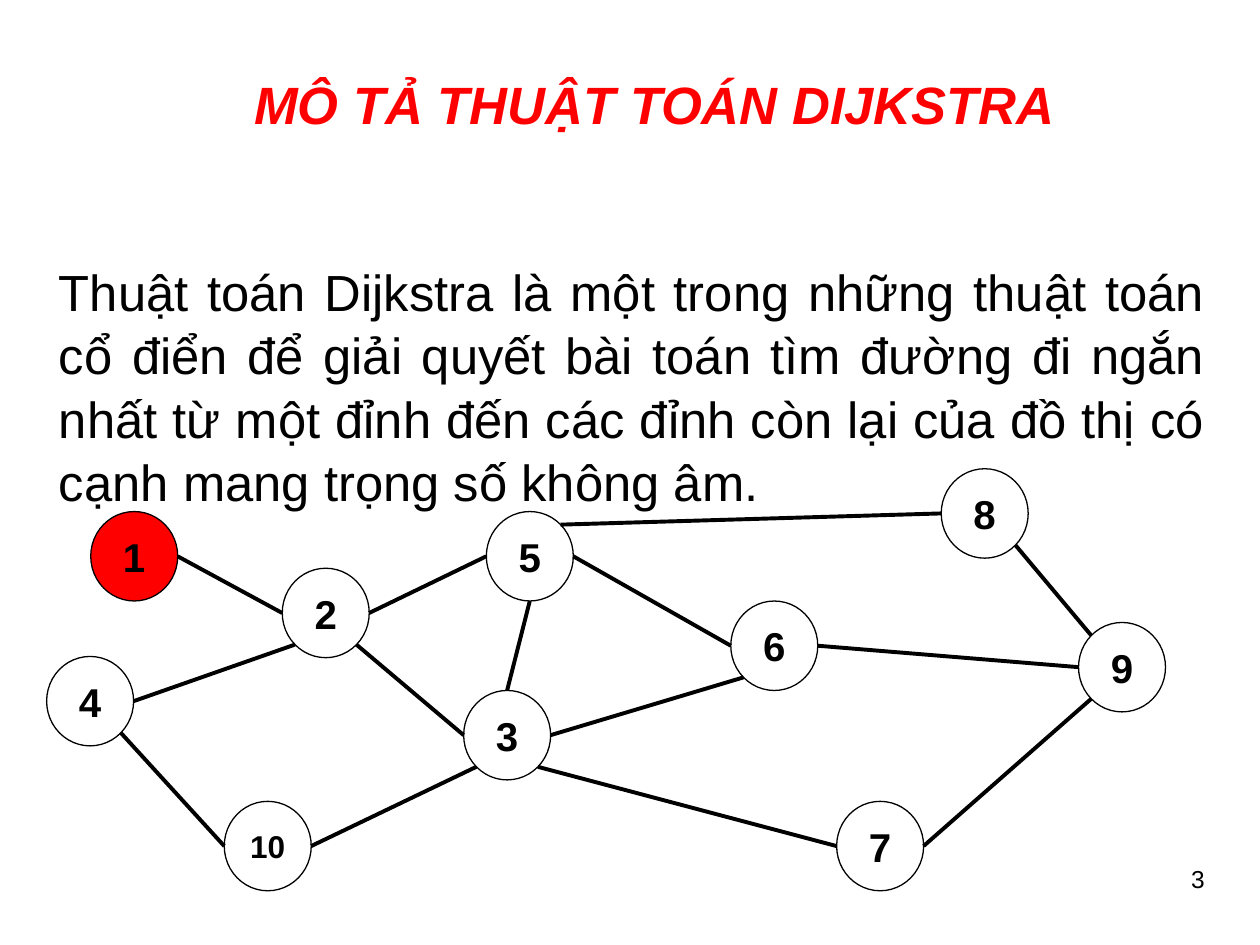
import pptx
import pptx.dml.color
import pptx.enum.shapes
import pptx.enum.text
import pptx.util
import lxml.etree

Inches = pptx.util.Inches
Pt = pptx.util.Pt
ALIGN = pptx.enum.text.PP_ALIGN
ANCHOR = pptx.enum.text.MSO_ANCHOR

WIDE, HIGH = 0.69, 0.71
NODES = {
    "1": (0.72, 4.06), "2": (2.24, 4.51), "4": (0.37, 5.21),
    "10": (1.78, 6.36), "3": (3.68, 5.48), "5": (3.86, 4.06),
    "6": (5.8, 4.77), "7": (6.64, 6.36), "9": (8.56, 4.94),
    "8": (7.47, 3.72),
}
# Unit steps from a node's centre to the side where an edge meets it
DIAG = 0.707
SIDES = {
    "N": (0, -1), "S": (0, 1), "W": (-1, 0), "E": (1, 0),
    "NW": (-DIAG, -DIAG), "NE": (DIAG, -DIAG),
    "SW": (-DIAG, DIAG), "SE": (DIAG, DIAG),
}
EDGES = [
    ("1", "E", "2", "W"), ("4", "E", "2", "SW"), ("2", "E", "5", "W"),
    ("2", "SE", "3", "W"), ("4", "SE", "10", "W"), ("10", "E", "3", "SW"),
    ("5", "S", "3", "N"), ("3", "E", "6", "SW"), ("3", "SE", "7", "W"),
    ("5", "E", "6", "W"), ("5", "NE", "8", "W"), ("6", "E", "9", "W"),
    ("8", "SE", "9", "NW"), ("7", "E", "9", "SW"),
]


def paint(code):
    return pptx.dml.color.RGBColor.from_string(code)


def write(shape, text, size, color="000000", bold=False, italic=False,
          align=ALIGN.LEFT, anchor=ANCHOR.TOP, inset=0.05, before=0,
          spacing=None, wrap=True):
    frame = shape.text_frame
    frame.word_wrap = wrap
    frame.vertical_anchor = anchor
    frame.margin_left = frame.margin_right = Inches(0.1)
    frame.margin_top = frame.margin_bottom = Inches(inset)
    para = frame.paragraphs[0]
    para.alignment = align
    para.space_before = Pt(before)
    para.line_spacing = spacing
    run = para.add_run()
    run.text = text
    font = run.font
    font.name, font.size = "Arial", Pt(size)
    font.bold, font.italic = bold, italic
    font.color.rgb = paint(color)


def add_text(slide, box, text, **style):
    shape = slide.shapes.add_textbox(*map(Inches, box))
    write(shape, text, **style)


def add_node(slide, left, top, name):
    shape = slide.shapes.add_shape(
        pptx.enum.shapes.MSO_SHAPE.OVAL,
        Inches(left), Inches(top), Inches(WIDE), Inches(HIGH))
    shape.shadow.inherit = False
    shape.fill.solid()
    shape.fill.fore_color.rgb = paint("FF0000" if name == "1" else "FFFFFF")
    shape.line.color.rgb = paint("000000")
    shape.line.width = Pt(0.75)
    write(shape, name, size=18 if len(name) > 1 else 23, bold=True,
          align=ALIGN.CENTER, anchor=ANCHOR.MIDDLE, inset=0.1, wrap=False)


def find_end(left, top, name, side):
    """Return the point on a node's rim at the given side."""
    x, y = NODES[name]
    across, down = SIDES[side]
    return (Inches(left + x + WIDE / 2 * (1 + across)),
            Inches(top + y + HIGH / 2 * (1 + down)))


def add_edge(slide, start, end):
    line = slide.shapes.add_connector(
        pptx.enum.shapes.MSO_CONNECTOR.STRAIGHT, *start, *end)
    line.line.color.rgb = paint("000000")
    line.line.width = Pt(2.25)
    props = line._element.spPr
    lxml.etree.SubElement(props, pptx.oxml.ns.qn("a:effectLst"))


def add_graph(slide, left, top):
    for name, (x, y) in NODES.items():
        add_node(slide, left + x, top + y, name)
    for first, out, last, into in EDGES:
        add_edge(slide, find_end(left, top, first, out),
                 find_end(left, top, last, into))


def main():
    deck = pptx.Presentation()
    deck.slide_width, deck.slide_height = Inches(10), Inches(7.5)
    slide = deck.slides.add_slide(deck.slide_layouts[6])
    add_text(slide, (1.92, 0.31, 7.75, 1.03), "MÔ TẢ THUẬT TOÁN DIJKSTRA",
             size=30, color="FF0000", bold=True, italic=True,
             anchor=ANCHOR.MIDDLE)
    add_text(slide, (0.37, 2, 9.3, 4.92),
             "Thuật toán Dijkstra là một trong những thuật toán cổ điển để "
             "giải quyết bài toán tìm đường đi ngắn nhất từ một đỉnh đến các "
             "đỉnh còn lại của đồ thị có cạnh mang trọng số không âm.",
             size=29, align=ALIGN.JUSTIFY, before=3.6, spacing=1.04)
    add_text(slide, (7.33, 6.81, 2.33, 0.61), "3", size=14,
             align=ALIGN.RIGHT)
    add_graph(slide, 0, 0)
    deck.save("out.pptx")


if __name__ == "__main__":
    main()
